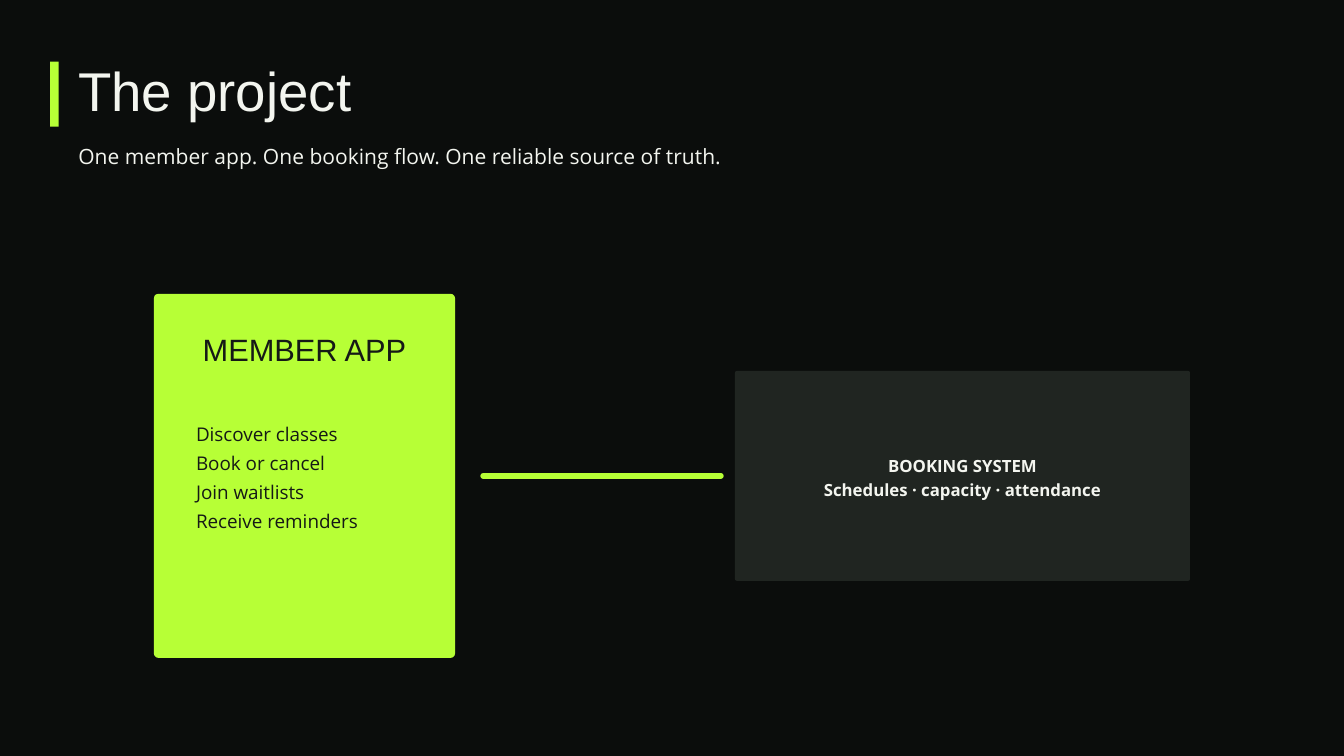
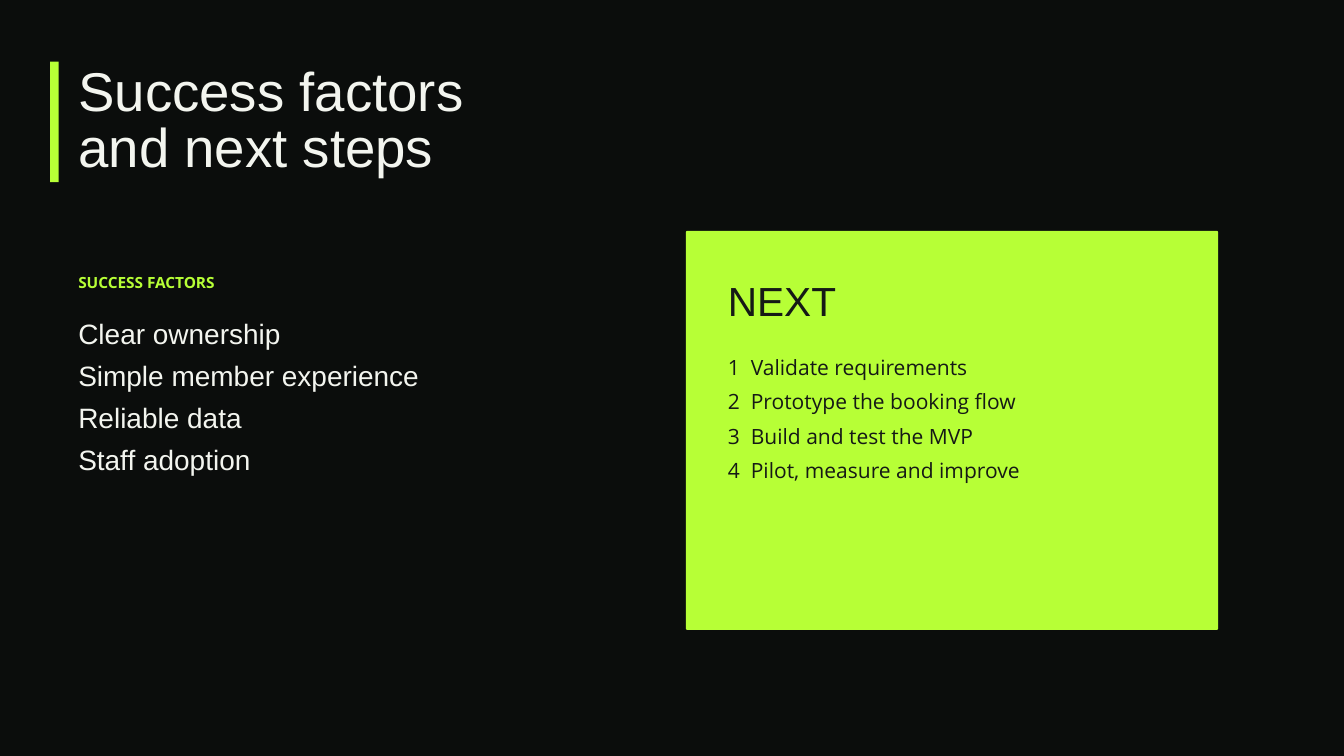
import pptx
import pptx.util
import pptx.dml.color
import pptx.enum.shapes
import pptx.enum.text
import pptx.oxml.ns
import lxml.etree

Cm = pptx.util.Cm
Pt = pptx.util.Pt
SHAPE = pptx.enum.shapes.MSO_SHAPE
ALIGN = pptx.enum.text.PP_ALIGN
FIT = pptx.enum.text.MSO_AUTO_SIZE
MIDDLE = pptx.enum.text.MSO_ANCHOR.MIDDLE
qn = pptx.oxml.ns.qn

NIGHT, LIME, SLATE = "0B0D0C", "B7FF36", "202521"
PALE, INK = "F3F5EF", "151916"
HEAD, BODY = "Arial", "Open Sans"
EDGE = 2.96
STEP = 2.1

STYLES = {
    "title": dict(name=HEAD, size=58.5, lead=59.7, ink=PALE),
    "lede": dict(name=BODY, size=22.5, lead=30.4, ink=PALE),
    "app": dict(name=HEAD, size=33, lead=46.2, ink=INK, align=ALIGN.CENTER),
    "tasks": dict(name=BODY, size=20.2, lead=31.4, ink=INK),
    "system": dict(name=BODY, size=18, lead=25.2, ink=PALE, bold=True, align=ALIGN.CENTER),
    "label": dict(name=BODY, size=16.5, lead=23.1, ink=LIME, bold=True),
    "factors": dict(name=HEAD, size=30, lead=45, ink=PALE),
    "next": dict(name=HEAD, size=43.5, lead=60.9, ink=INK),
    "steps": dict(name=BODY, size=22.5, lead=37.1, ink=INK, hang=0.87),
}


def color(code):
    """Turn a hex string into a colour."""
    return pptx.dml.color.RGBColor.from_string(code)


def paint(fill, code):
    """Give a fill one solid colour."""
    fill.solid()
    fill.fore_color.rgb = color(code)


def write(frame, lines, style, inset=0):
    """Fill a text frame with one paragraph per line in a named style."""
    look = STYLES[style]
    margins = {f"margin_{side}": Cm(inset) for side in ("left", "top", "right", "bottom")}
    for key, value in {"word_wrap": True, **margins}.items():
        setattr(frame, key, value)
    for index, line in enumerate(lines):
        para = frame.add_paragraph() if index else frame.paragraphs[0]
        para.text = line
        para.alignment = look.get("align", ALIGN.LEFT)
        para.line_spacing = Pt(look["lead"])
        if "hang" in look:
            hang = Cm(look["hang"])
            props = para._p.get_or_add_pPr()
            props.set("marL", str(hang))
            props.set("indent", str(-hang))
            tabs = lxml.etree.SubElement(props, qn("a:tabLst"))
            lxml.etree.SubElement(tabs, qn("a:tab"), pos=str(hang), algn="l")
        font = para.runs[0].font
        font.color.rgb = color(look["ink"])
        values = {"name": look["name"], "size": Pt(look["size"]), "bold": look.get("bold", False)}
        for key, value in values.items():
            setattr(font, key, value)


def add_text(shapes, box, lines, style):
    """Add a text box without margins."""
    frame = shapes.add_textbox(*map(Cm, box)).text_frame
    write(frame, lines, style)
    frame.auto_size = FIT.SHAPE_TO_FIT_TEXT


def add_panel(shapes, box, code, round=0):
    """Add a plain panel whose corners have the given radius."""
    panel = shapes.add_shape(SHAPE.ROUNDED_RECTANGLE if round else SHAPE.RECTANGLE, *map(Cm, box))
    if round:
        panel.adjustments[0] = round / min(box[2:])
    panel.shadow.inherit = False
    paint(panel.fill, code)
    panel.line.fill.background()
    return panel


def add_card(slide, box, round, head, list_):
    """Add a lime card with a heading and a list, each placed from its corner."""
    left, top = box[:2]
    shapes = slide.shapes.add_group_shape().shapes
    add_panel(shapes, box, LIME, round)
    for (x, y, wide, high), lines, style in (head, list_):
        add_text(shapes, (left + x, top + y, wide, high), lines, style)


def add_system(slide, box):
    """Add the booking system panel with its centred text."""
    panel = add_panel(slide.shapes, box, SLATE, 0.08)
    write(panel.text_frame, ["BOOKING SYSTEM", "Schedules · capacity · attendance"], "system", 0.15)
    panel.text_frame.vertical_anchor = MIDDLE


def add_link(slide, start, end, level):
    """Draw the round-ended line between app and system."""
    kind = pptx.enum.shapes.MSO_CONNECTOR.STRAIGHT
    link = slide.shapes.add_connector(kind, Cm(start), Cm(level), Cm(end), Cm(level))
    link.line.width = Pt(6)
    link.line.color.rgb = color(LIME)
    link.line._get_or_add_ln().set("cap", "rnd")
    lxml.etree.SubElement(link._element.spPr, qn("a:effectLst"))


def add_factors(slide, box):
    """Add the success factors under their label."""
    left, top, wide, high = box
    add_text(slide.shapes, (left, top, wide, 0.78), ["SUCCESS FACTORS"], "label")
    lines = ["Clear ownership", "Simple member experience", "Reliable data", "Staff adoption"]
    add_text(slide.shapes, (left, top + 1.43, wide, high - 1.43), lines, "factors")


def add_slide(deck, title):
    """Add a dark slide with its title and a bar as tall as the title."""
    slide = deck.slides.add_slide(deck.slide_layouts[6])
    paint(slide.background.fill, NIGHT)
    more = STEP * (len(title) - 1)
    add_text(slide.shapes, (EDGE, 2.54, 39.69, 2.18 + more), title, "title")
    add_panel(slide.shapes, (1.9, 2.33, 0.32, 2.46 + more), LIME)
    return slide


def project(deck):
    """Build the project slide."""
    slide = add_slide(deck, ["The project"])
    lede = "One member app. One booking flow. One reliable source of truth."
    add_text(slide.shapes, (EDGE, 5.29, 33.87, 1.02), [lede], "lede")
    tasks = ["Discover classes", "Book or cancel", "Join waitlists", "Receive reminders"]
    add_card(slide, (5.82, 11.11, 11.38, 13.76), 0.16,
             ((1.32, 1.17, 8.74, 1.54), ["MEMBER APP"], "app"),
             ((1.59, 4.6, 8.2, 4.23), tasks, "tasks"))
    add_link(slide, 18.26, 27.25, 17.99)
    add_system(slide, (27.78, 14.02, 17.2, 7.94))


def outlook(deck):
    """Build the success factors and next steps slide."""
    slide = add_slide(deck, ["Success factors", "and next steps"])
    add_factors(slide, (EDGE, 10.21, 17.2, 7.73))
    steps = ["Validate requirements", "Prototype the booking flow",
             "Build and test the MVP", "Pilot, measure and improve"]
    lines = [f"{number}\t{step}" for number, step in enumerate(steps, 1)]
    add_card(slide, (25.93, 8.73, 20.11, 15.08), 0.04,
             ((1.58, 1.4, 16.93, 2), ["NEXT"], "next"),
             ((1.58, 4.3, 16.4, 5.03), lines, "steps"))


def main():
    """Build and save the deck."""
    deck = pptx.Presentation()
    deck.slide_width, deck.slide_height = Cm(50.8), Cm(28.58)
    project(deck)
    outlook(deck)
    deck.save("out.pptx")


if __name__ == "__main__":
    main()
